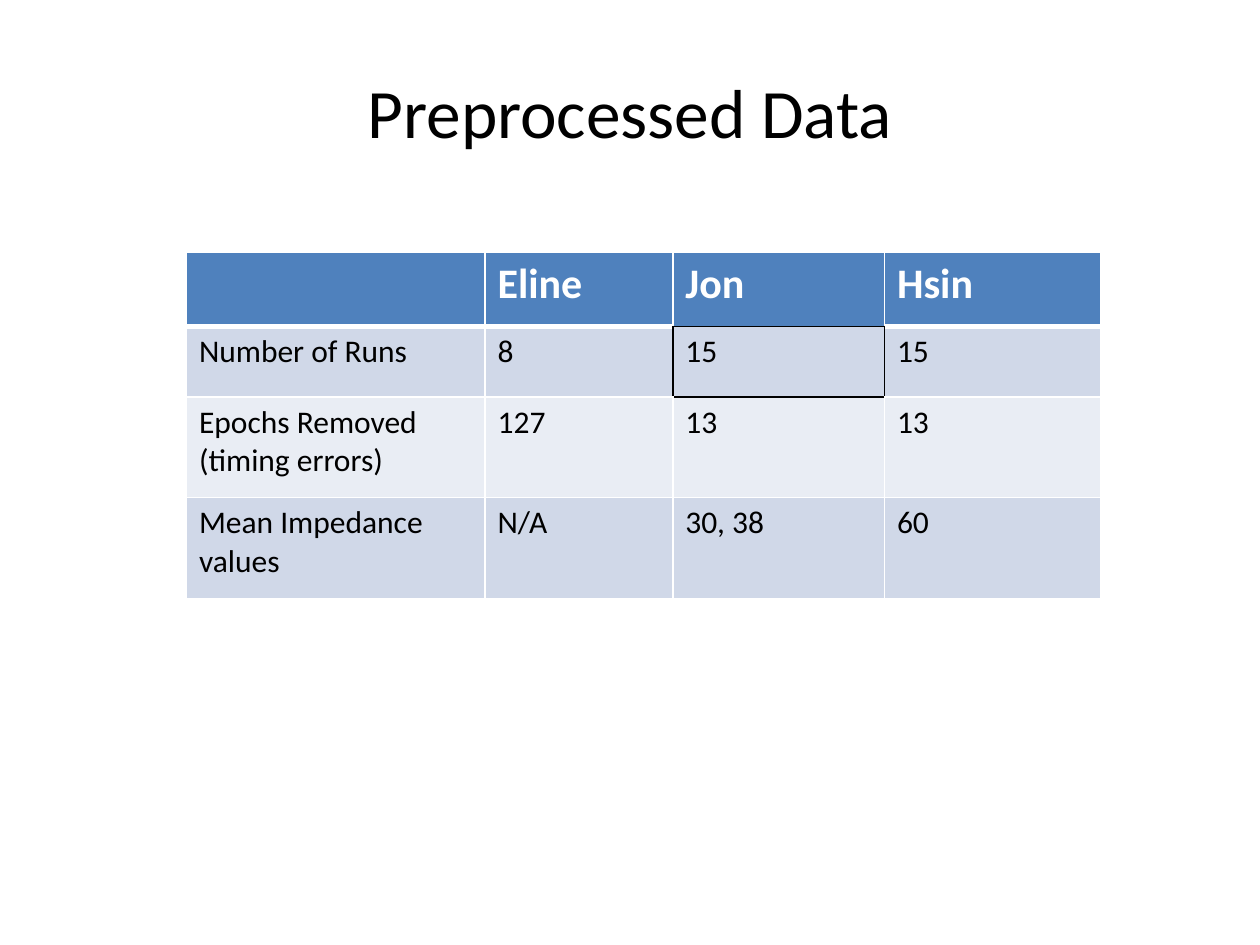
from dataclasses import dataclass

from lxml.etree import SubElement
from pptx import Presentation
from pptx.dml.color import RGBColor
from pptx.enum.text import MSO_ANCHOR, PP_ALIGN
from pptx.oxml.ns import qn
from pptx.util import Inches, Pt


@dataclass(frozen=True)
class Theme:
    font: str = "Calibri"
    title_size: float = 39.6
    header_size: float = 24
    body_size: float = 18
    ink: str = "000000"
    paper: str = "FFFFFF"
    header_fill: str = "4F81BD"
    band_fills: tuple = ("D0D8E8", "E9EDF4")
    thin_line: float = 1
    thick_line: float = 3


@dataclass(frozen=True)
class Border:
    color: str
    width: float


THEME = Theme()
ROWS = (
    ("", "Eline", "Jon", "Hsin"),
    ("Number of Runs", "8", "15", "15"),
    ("Epochs Removed\n(timing errors)", "127", "13", "13"),
    ("Mean Impedance values", "N/A", "30, 38", "60"),
)
COLUMN_WIDTHS = (2.37, 1.49, 1.68, 1.72)
ROW_HEIGHTS = (0.59, 0.56, 0.8, 0.8)
OUTLINED_CELL = (1, 2)
# Border tag -> row and column step to the cell on the other side of that edge.
EDGES = {"a:lnL": (0, -1), "a:lnR": (0, 1), "a:lnT": (-1, 0), "a:lnB": (1, 0)}


def write_text(frame, text: str, *, size: float, color: str,
               bold: bool = False, align=PP_ALIGN.LEFT) -> None:
    for index, line in enumerate(text.split("\n")):
        para = frame.paragraphs[0] if index == 0 else frame.add_paragraph()
        para.alignment = align
        para.font.size = Pt(size)
        if not line:
            continue
        span = para.add_run()
        span.text = line
        span.font.name = THEME.font
        span.font.size = Pt(size)
        span.font.bold = bold
        span.font.color.rgb = RGBColor.from_string(color)


def edge_border(row: int, column: int, edge: str) -> Border:
    """Choose the line that both cells sharing an edge agree on."""
    row_step, column_step = EDGES[edge]
    neighbour = (row + row_step, column + column_step)
    if OUTLINED_CELL in ((row, column), neighbour):
        return Border(THEME.ink, THEME.thin_line)
    if {row, neighbour[0]} == {0, 1}:
        return Border(THEME.paper, THEME.thick_line)
    return Border(THEME.paper, THEME.thin_line)


def draw_border(cell, edge: str, border: Border) -> None:
    properties = cell._tc.get_or_add_tcPr()
    line = SubElement(properties, qn(edge), w=str(Pt(border.width)))
    fill = SubElement(line, qn("a:solidFill"))
    SubElement(fill, qn("a:srgbClr"), val=border.color)


def draw_cell(cell, row: int, column: int) -> None:
    is_header = row == 0
    for edge in EDGES:
        draw_border(cell, edge, edge_border(row, column, edge))
    fill = THEME.header_fill if is_header else THEME.band_fills[(row - 1) % 2]
    cell.fill.solid()
    cell.fill.fore_color.rgb = RGBColor.from_string(fill)
    write_text(
        cell.text_frame,
        ROWS[row][column],
        size=THEME.header_size if is_header else THEME.body_size,
        color=THEME.paper if is_header else THEME.ink,
        bold=is_header,
    )


def draw_title(slide, text: str) -> None:
    box = slide.shapes.add_textbox(Inches(0.75), Inches(0.5), Inches(8.5), Inches(0.76))
    box.text_frame.word_wrap = True
    box.text_frame.vertical_anchor = MSO_ANCHOR.MIDDLE
    write_text(box.text_frame, text, size=THEME.title_size,
               color=THEME.ink, align=PP_ALIGN.CENTER)


def draw_table(slide) -> None:
    table = slide.shapes.add_table(
        len(ROWS), len(COLUMN_WIDTHS), Inches(1.48), Inches(2),
        Inches(sum(COLUMN_WIDTHS)), Inches(sum(ROW_HEIGHTS)),
    ).table
    for column, width in zip(table.columns, COLUMN_WIDTHS):
        column.width = Inches(width)
    for row, height in zip(table.rows, ROW_HEIGHTS):
        row.height = Inches(height)
    for row in range(len(ROWS)):
        for column in range(len(COLUMN_WIDTHS)):
            draw_cell(table.cell(row, column), row, column)


def main() -> None:
    deck = Presentation()
    deck.slide_width, deck.slide_height = Inches(10), Inches(7.5)
    slide = deck.slides.add_slide(deck.slide_layouts[6])
    draw_title(slide, "Preprocessed Data")
    draw_table(slide)
    deck.save("out.pptx")


if __name__ == "__main__":
    main()
